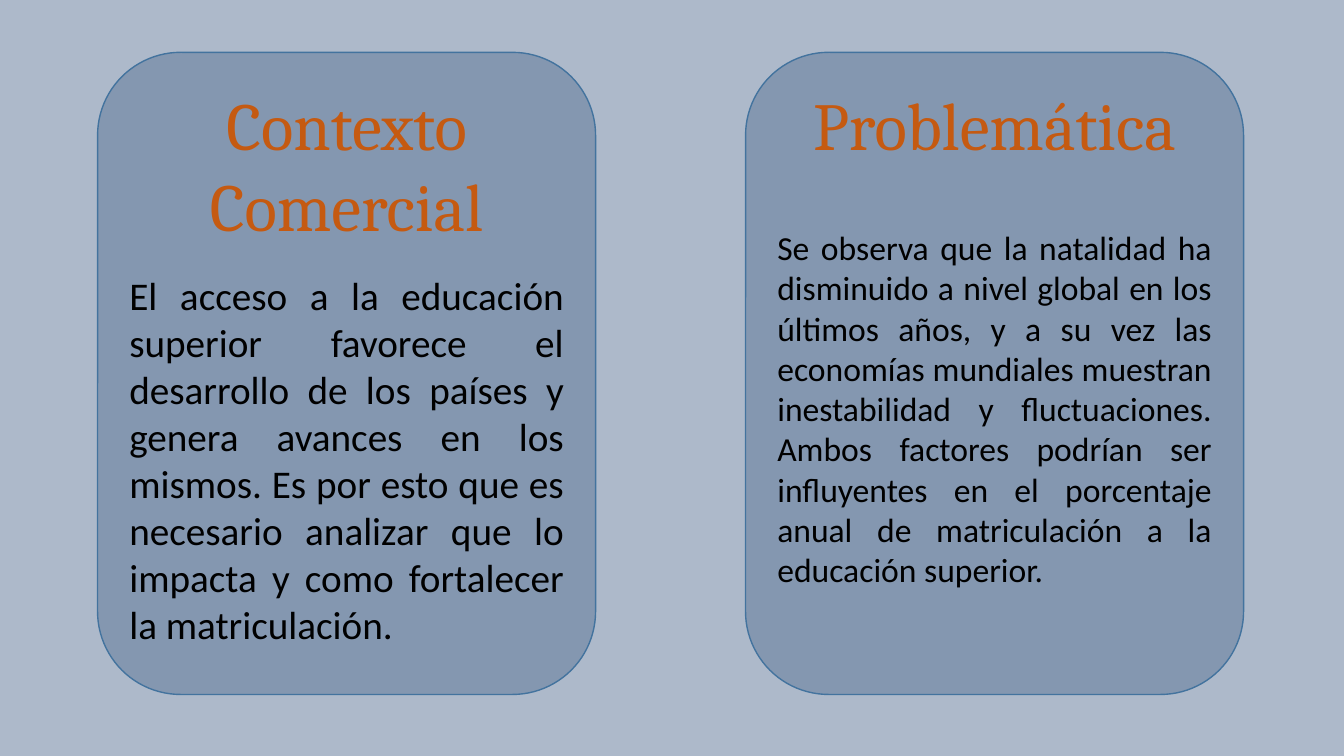
from dataclasses import dataclass

from pptx import Presentation
from pptx import util as u
from pptx.dml.color import RGBColor
from pptx.enum import shapes, text


@dataclass(frozen=True)
class Theme:
    background: RGBColor = RGBColor.from_string("ADB9CA")
    card: RGBColor = RGBColor.from_string("8497B0")
    outline: RGBColor = RGBColor.from_string("43739E")
    heading: RGBColor = RGBColor.from_string("C55A11")
    body: RGBColor = RGBColor.from_string("000000")
    heading_font: str = "Cambria"
    body_font: str = "Calibri"
    heading_size: int = 48


@dataclass(frozen=True)
class Box:
    """A rectangle in centimetres."""
    left: float
    top: float
    width: float
    height: float

    def lengths(self):
        return [u.Cm(n) for n in (self.left, self.top, self.width, self.height)]


@dataclass(frozen=True)
class Topic:
    """One card's wording, with its body size and body offset from the card top."""
    heading: str
    body: str
    body_size: int
    body_top: float


THEME = Theme()
CARD = Box(2.46, 1.32, 12.55, 16.18)
CARD_STEP = 16.33
HEADING_TOP = 0.66
HEADING_INSET = 0.86
BODY_INSET = 0.55
BOTTOM_MARGIN = 1.0

TOPICS = [
    Topic("Contexto\nComercial",
          "El acceso a la educación superior favorece el desarrollo de los países "
          "y genera avances en los mismos. Es por esto que es necesario analizar "
          "que lo impacta y como fortalecer la matriculación.", 28, 5.38),
    Topic("Problemática",
          "Se observa que la natalidad ha disminuido a nivel global en los últimos "
          "años, y a su vez las economías mundiales muestran inestabilidad y "
          "fluctuaciones. Ambos factores podrían ser influyentes en el porcentaje "
          "anual de matriculación a la educación superior.", 24, 4.27),
]


def add_text(page, box, wording, font, size, color, align):
    frame = page.shapes.add_textbox(*box.lengths()).text_frame
    frame.word_wrap = True
    frame.text = wording
    for para in frame.paragraphs:
        para.alignment = align
        for span in para.runs:
            span.font.name = font
            span.font.size = u.Pt(size)
            span.font.color.rgb = color


def add_card(page, box, topic):
    card = page.shapes.add_shape(shapes.MSO_SHAPE.ROUNDED_RECTANGLE, *box.lengths())
    card.shadow.inherit = False
    card.fill.solid()
    card.fill.fore_color.rgb = THEME.card
    card.line.color.rgb = THEME.outline
    card.line.width = u.Pt(1)

    heading_box = Box(box.left + HEADING_INSET, box.top + HEADING_TOP,
                      box.width - 2 * HEADING_INSET,
                      topic.body_top - HEADING_TOP)
    add_text(page, heading_box, topic.heading, THEME.heading_font,
             THEME.heading_size, THEME.heading, text.PP_ALIGN.CENTER)

    body_box = Box(box.left + BODY_INSET, box.top + topic.body_top,
                   box.width - 2 * BODY_INSET,
                   box.height - topic.body_top - BOTTOM_MARGIN)
    add_text(page, body_box, topic.body, THEME.body_font,
             topic.body_size, THEME.body, text.PP_ALIGN.JUSTIFY)


def add_topics_page(deck):
    page = deck.slides.add_slide(deck.slide_layouts[6])
    page.background.fill.solid()
    page.background.fill.fore_color.rgb = THEME.background
    for column, topic in enumerate(TOPICS):
        box = Box(CARD.left + column * CARD_STEP, CARD.top, CARD.width, CARD.height)
        add_card(page, box, topic)


def main():
    deck = Presentation()
    deck.slide_width = u.Cm(33.87)
    deck.slide_height = u.Cm(19.05)
    add_topics_page(deck)
    deck.save("out.pptx")


if __name__ == "__main__":
    main()
